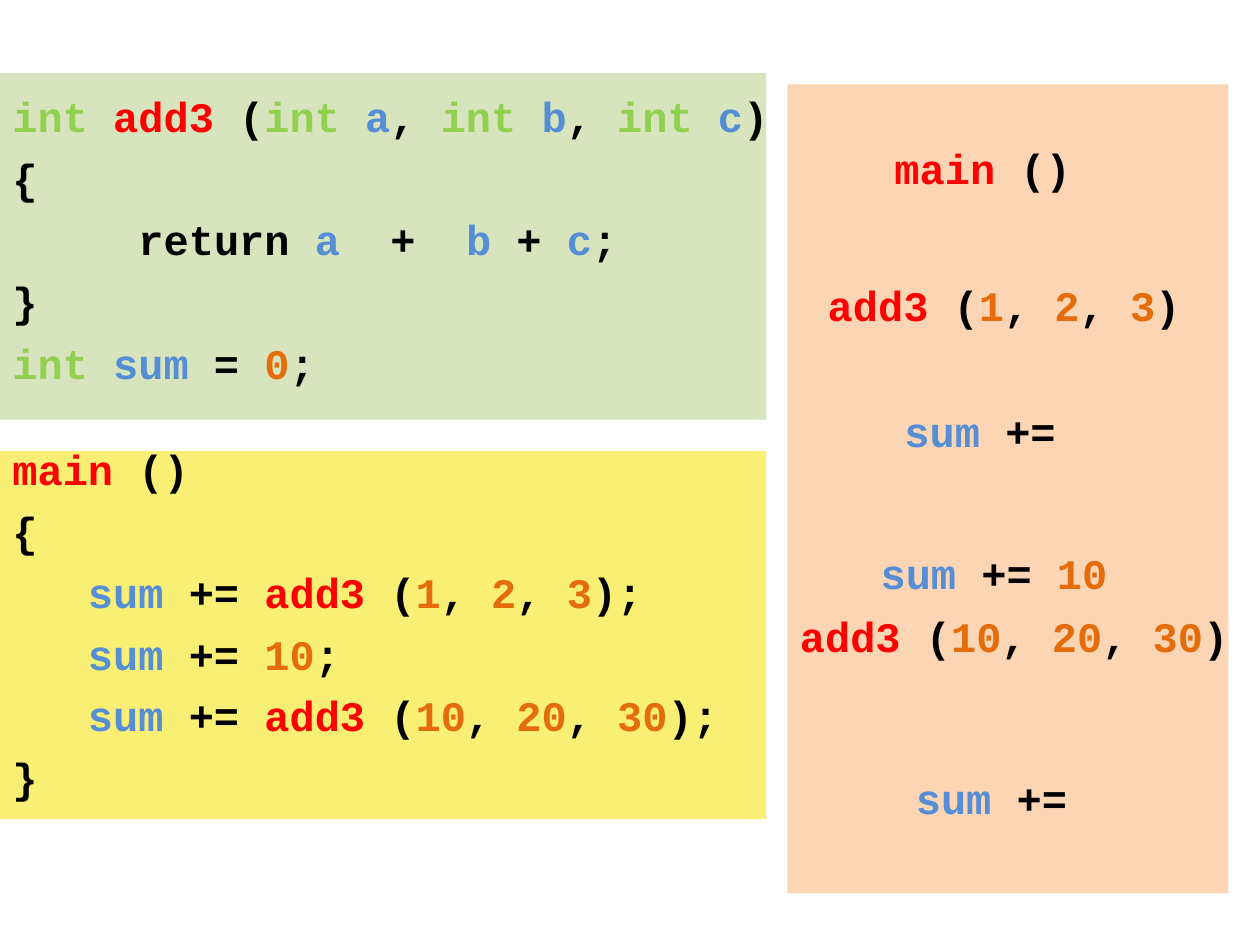
from itertools import groupby

from pptx import Presentation
from pptx.dml.color import RGBColor
from pptx.enum.shapes import MSO_SHAPE
from pptx.util import Inches, Pt

PANELS = [
    (0, 0.58, 6.08, 2.75, "D7E4BD"),
    (-0.01, 3.58, 6.09, 2.92, "F8EF74"),
    (6.25, 0.67, 3.5, 6.42, "FCD5B5"),
]
DECLARATIONS = """int add3 (int a, int b, int c)
{
     return a  +  b + c;
}
int sum = 0;"""
MAIN_BODY = """main ()
{
   sum += add3 (1, 2, 3);
   sum += 10;
   sum += add3 (10, 20, 30);
}"""
LISTINGS = [
    (0, 0.67, 6.67, 2.75, DECLARATIONS),
    (0, 3.47, 6.67, 3.1, MAIN_BODY),
]
TRACE_STEPS = [
    (7, 1.08, 1.61, "main ()"),
    (6.47, 2.17, 3.02, "add3 (1, 2, 3)"),
    (7.08, 3.17, 1.41, "sum +="),
    (6.89, 4.3, 2.02, "sum += 10"),
    (6.25, 4.8, 3.63, "add3 (10, 20, 30)"),
    (7.17, 6.08, 1.41, "sum +="),
]
STEP_HEIGHT = 0.5
WORD_COLORS = {
    "int": "92D050",
    **dict.fromkeys(["add3", "main"], "FF0000"),
    **dict.fromkeys(["a", "b", "c", "sum"], "558ED5"),
}
NUMBER_COLOR = "E46C0A"
PLAIN_COLOR = "000000"


def rgb(color):
    return RGBColor.from_string(color)


def token_color(token):
    return NUMBER_COLOR if token.isdigit() else WORD_COLORS.get(token, PLAIN_COLOR)


def add_panel(slide, left, top, width, height, color):
    panel = slide.shapes.add_shape(
        MSO_SHAPE.RECTANGLE, Inches(left), Inches(top), Inches(width), Inches(height)
    )
    panel.shadow.inherit = False
    panel.fill.solid()
    panel.fill.fore_color.rgb = rgb(color)
    panel.line.fill.background()


def add_code(slide, left, top, width, height, code, wrap):
    frame = slide.shapes.add_textbox(
        Inches(left), Inches(top), Inches(width), Inches(height)
    ).text_frame
    frame.word_wrap = wrap
    for number, line in enumerate(code.splitlines()):
        paragraph = frame.add_paragraph() if number else frame.paragraphs[0]
        paragraph.space_before = Pt(6.4 if number else 0)
        paragraph.font.name = "Courier New"
        paragraph.font.size = Pt(24)
        paragraph.font.bold = True
        for _, characters in groupby(line, str.isalnum):
            token = "".join(characters)
            run = paragraph.add_run()
            run.text = token
            run.font.color.rgb = rgb(token_color(token))


def main():
    """Build the slide that traces calls of add3 beside its program."""
    presentation = Presentation()
    presentation.slide_width, presentation.slide_height = Inches(10), Inches(7.5)
    slide = presentation.slides.add_slide(presentation.slide_layouts[6])
    for panel in PANELS:
        add_panel(slide, *panel)
    for listing in LISTINGS:
        add_code(slide, *listing, wrap=True)
    for left, top, width, step in TRACE_STEPS:
        add_code(slide, left, top, width, STEP_HEIGHT, step, wrap=False)
    presentation.save("out.pptx")


if __name__ == "__main__":
    main()
